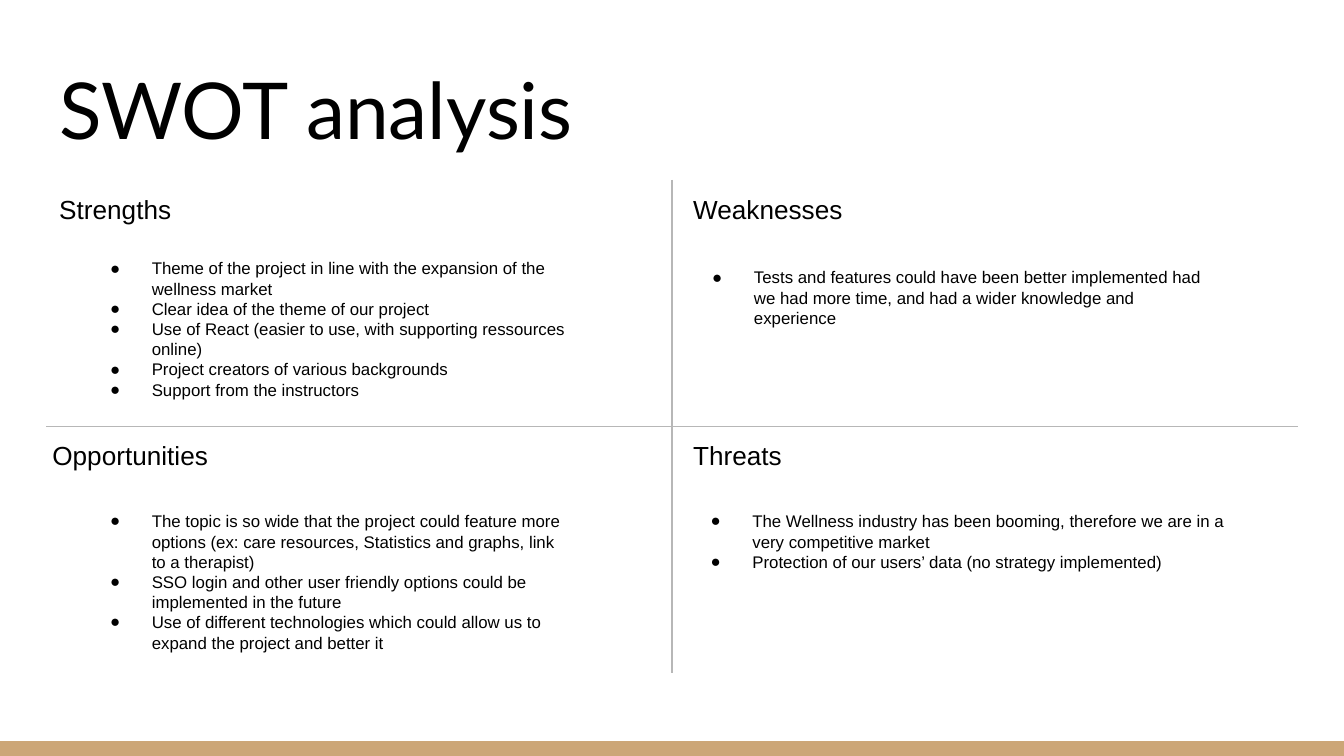
from dataclasses import dataclass

import pptx
import pptx.dml.color
import pptx.enum.shapes
import pptx.enum.text
import pptx.oxml
import pptx.oxml.ns
import pptx.util
from pptx.util import Cm


@dataclass(frozen=True)
class Theme:
    ink: str = "000000"
    rule: str = "B7B7B7"
    band: str = "CCA677"
    title_font: str = "Lato"
    body_font: str = "Arial"
    title_size: float = 42
    heading_size: float = 14
    body_size: float = 9
    rule_width: float = 0.75
    inset: float = 0.25
    indent: float = 1.27
    hanging: float = 0.79


@dataclass(frozen=True)
class Box:
    left: float
    top: float
    width: float
    height: float


@dataclass(frozen=True)
class Quadrant:
    heading: str
    heading_box: Box
    points: tuple[str, ...]
    points_box: Box


THEME = Theme()
WIDTH, HEIGHT = 25.4, 14.29
MARGIN = 0.87
MIDDLE_X = WIDTH / 2
TOP_Y, MIDDLE_Y, BOTTOM_Y = 3.4, 8.06, 12.73
BAND_HEIGHT = 0.28
HEADING_HEIGHT = 1.12

QUADRANTS = (
    Quadrant(
        "Strengths",
        Box(MARGIN, TOP_Y, 9.9, HEADING_HEIGHT),
        (
            "Theme of the project in line with the expansion of the wellness market",
            "Clear idea of the theme of our project",
            "Use of React (easier to use, with supporting ressources online)",
            "Project creators of various backgrounds",
            "Support from the instructors",
        ),
        Box(1.35, 4.63, 10.31, 3.2),
    ),
    Quadrant(
        "Weaknesses",
        Box(12.85, TOP_Y, 10.31, HEADING_HEIGHT),
        (
            "Tests and features could have been better implemented had we had "
            "more time, and had a wider knowledge and experience",
        ),
        Box(12.73, 4.8, 10.54, 1.68),
    ),
    Quadrant(
        "Opportunities",
        Box(0.74, MIDDLE_Y, 10.95, HEADING_HEIGHT),
        (
            "The topic is so wide that the project could feature more options "
            "(ex: care resources, Statistics and graphs, link to a therapist)",
            "SSO login and other user friendly options could be implemented in the future",
            "Use of different technologies which could allow us to expand the "
            "project and better it",
        ),
        Box(1.35, 9.41, 9.53, 3.2),
    ),
    Quadrant(
        "Threats",
        Box(12.85, MIDDLE_Y, 10.95, HEADING_HEIGHT),
        (
            "The Wellness industry has been booming, therefore we are in a very "
            "competitive market",
            "Protection of our users’ data (no strategy implemented)",
        ),
        Box(12.7, 9.41, 10.95, 1.68),
    ),
)


def rgb(value: str) -> pptx.dml.color.RGBColor:
    return pptx.dml.color.RGBColor.from_string(value)


def add_bullet(p) -> None:
    pPr = p._p.get_or_add_pPr()
    pPr.set("marL", str(Cm(THEME.indent)))
    pPr.set("indent", str(-Cm(THEME.hanging)))
    ns = pptx.oxml.ns.nsdecls("a")
    for xml in (
        f'<a:buClr {ns}><a:srgbClr val="{THEME.ink}"/></a:buClr>',
        f'<a:buFont {ns} typeface="{THEME.body_font}"/>',
        f'<a:buChar {ns} char="●"/>',
    ):
        pPr.append(pptx.oxml.parse_xml(xml))


def add_text(s, box: Box, *lines: str, size: float, font: str = THEME.body_font,
             color: str = THEME.ink, bullets: bool = False, grow: bool = True,
             anchor=pptx.enum.text.MSO_ANCHOR.TOP) -> None:
    sp = s.shapes.add_textbox(Cm(box.left), Cm(box.top), Cm(box.width), Cm(box.height))
    tf = sp.text_frame
    tf.word_wrap = True
    tf.vertical_anchor = anchor
    sizing = pptx.enum.text.MSO_AUTO_SIZE
    tf.auto_size = sizing.SHAPE_TO_FIT_TEXT if grow else sizing.NONE
    tf.margin_left = tf.margin_right = Cm(THEME.inset)
    tf.margin_top = tf.margin_bottom = Cm(THEME.inset)
    for i, line in enumerate(lines):
        p = tf.add_paragraph() if i else tf.paragraphs[0]
        if bullets:
            add_bullet(p)
        r = p.add_run()
        r.text = line
        r.font.name = font
        r.font.size = pptx.util.Pt(size)
        r.font.color.rgb = rgb(color)


def add_rule(s, x1: float, y1: float, x2: float, y2: float) -> None:
    line = s.shapes.add_connector(
        pptx.enum.shapes.MSO_CONNECTOR.STRAIGHT, Cm(x1), Cm(y1), Cm(x2), Cm(y2))
    line.line.color.rgb = rgb(THEME.rule)
    line.line.width = pptx.util.Pt(THEME.rule_width)
    line._element.spPr.append(
        pptx.oxml.parse_xml(f'<a:effectLst {pptx.oxml.ns.nsdecls("a")}/>'))


def add_band(s) -> None:
    sp = s.shapes.add_shape(
        pptx.enum.shapes.MSO_SHAPE.RECTANGLE,
        Cm(0), Cm(HEIGHT - BAND_HEIGHT), Cm(WIDTH), Cm(BAND_HEIGHT))
    sp.shadow.inherit = False
    sp.fill.solid()
    sp.fill.fore_color.rgb = rgb(THEME.band)
    sp.line.fill.background()


def main() -> None:
    prs = pptx.Presentation()
    prs.slide_width, prs.slide_height = Cm(WIDTH), Cm(HEIGHT)
    s = prs.slides.add_slide(prs.slide_layouts[6])
    add_band(s)
    add_text(s, Box(MARGIN, 0.88, WIDTH - 2 * MARGIN, 2.31), "SWOT analysis",
             size=THEME.title_size, font=THEME.title_font, grow=False,
             anchor=pptx.enum.text.MSO_ANCHOR.BOTTOM)
    add_rule(s, MIDDLE_X, TOP_Y, MIDDLE_X, BOTTOM_Y)
    add_rule(s, MARGIN, MIDDLE_Y, WIDTH - MARGIN, MIDDLE_Y)
    for q in QUADRANTS:
        add_text(s, q.heading_box, q.heading, size=THEME.heading_size)
        add_text(s, q.points_box, *q.points, size=THEME.body_size, bullets=True)
    prs.save("out.pptx")


if __name__ == "__main__":
    main()
